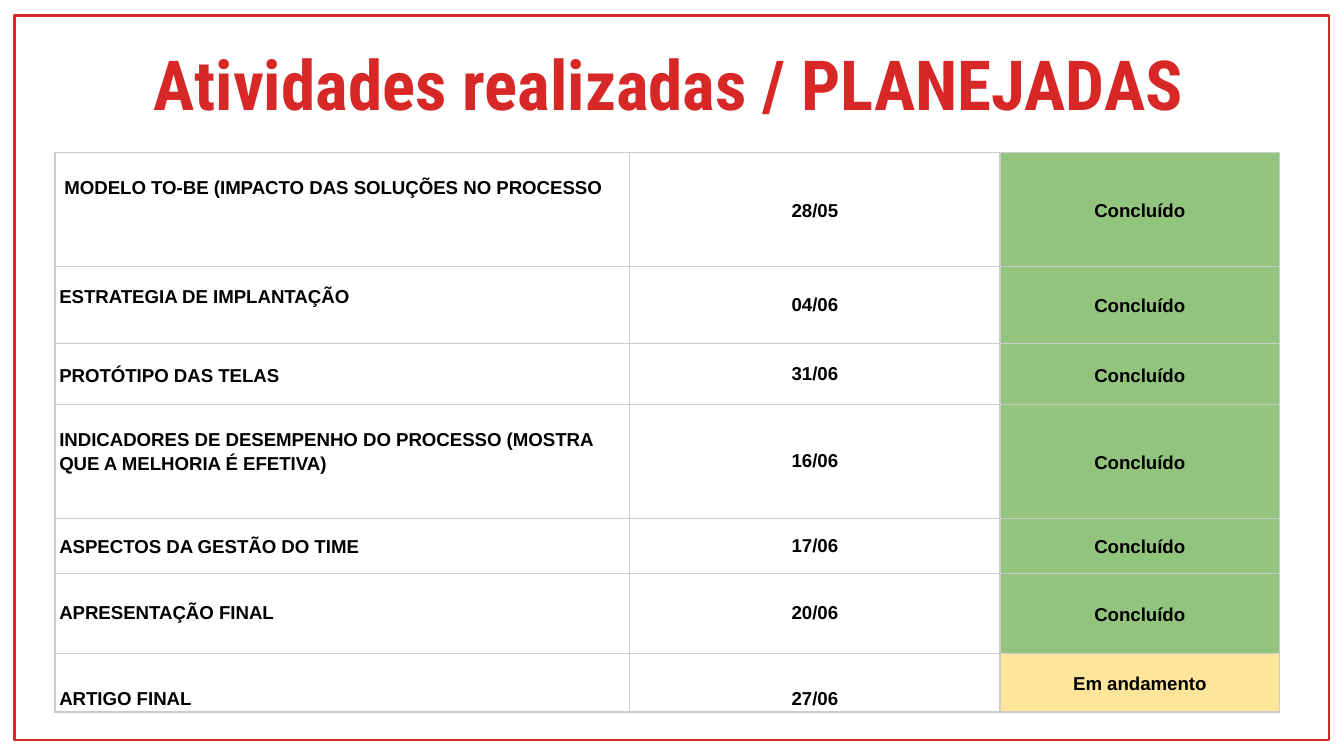
import pptx
import pptx.util
import pptx.dml.color
import pptx.enum.shapes
import pptx.enum.text
import pptx.oxml
import pptx.oxml.ns

Cm = pptx.util.Cm
Pt = pptx.util.Pt
ALIGN = pptx.enum.text.PP_ALIGN
ANCHOR = pptx.enum.text.MSO_ANCHOR

COLORS = {
    "red": "D82727",
    "black": "000000",
    "grid": "CCCCCC",
    "Concluído": "93C47D",
    "Em andamento": "FFE599",
}
COLUMN_WIDTHS = [10.86, 7, 5.28]

# activity, date, status, row height, extra space below the activity,
# line spacing of activity and date, anchor of activity and date
ACTIVITIES = [
    (" MODELO TO-BE (IMPACTO DAS SOLUÇÕES NO PROCESSO", "28/05", "Concluído",
     2.15, 0.85, (1.15, 1.15), ANCHOR.MIDDLE),
    ("ESTRATEGIA DE IMPLANTAÇÃO", "04/06", "Concluído",
     1.47, 0.36, (1.15, 1), ANCHOR.MIDDLE),
    ("PROTÓTIPO DAS TELAS", "31/06", "Concluído",
     1.15, 0, (1.15, 1), ANCHOR.MIDDLE),
    ("INDICADORES DE DESEMPENHO DO PROCESSO (MOSTRA QUE A MELHORIA É EFETIVA)",
     "16/06", "Concluído", 2.15, 0.4, (1.15, 1), ANCHOR.MIDDLE),
    ("ASPECTOS DA GESTÃO DO TIME", "17/06", "Concluído",
     1.04, 0, (1.15, 1), ANCHOR.MIDDLE),
    ("APRESENTAÇÃO FINAL", "20/06", "Concluído",
     1.51, 0, (1, 1), ANCHOR.MIDDLE),
    ("ARTIGO FINAL", "27/06", "Em andamento",
     1.11, 0, (1, 1), ANCHOR.BOTTOM),
]


def rgb(name):
    return pptx.dml.color.RGBColor.from_string(COLORS[name])


def write_text(frame, text, *, size, font="Arial", color="black",
               align=ALIGN.LEFT, spacing=1):
    paragraph = frame.paragraphs[0]
    paragraph.alignment = align
    paragraph.line_spacing = float(spacing)
    run = paragraph.add_run()
    run.text = text
    run.font.size = Pt(size)
    run.font.name = font
    run.font.bold = True
    run.font.color.rgb = rgb(color)


def add_frame(slide, left, top, width, height):
    frame = slide.shapes.add_shape(
        pptx.enum.shapes.MSO_SHAPE.RECTANGLE,
        Cm(left), Cm(top), Cm(width), Cm(height))
    frame.shadow.inherit = False
    frame.fill.background()
    frame.line.color.rgb = rgb("red")
    frame.line.width = Pt(1.5)


def add_title(slide, left, top, width, height):
    title = slide.shapes.add_textbox(Cm(left), Cm(top), Cm(width), Cm(height))
    frame = title.text_frame
    frame.word_wrap = True
    frame.vertical_anchor = ANCHOR.MIDDLE
    frame.margin_left = frame.margin_right = Cm(0.25)
    frame.margin_top = frame.margin_bottom = Cm(0.25)
    write_text(frame, "Atividades realizadas / PLANEJADAS", size=37,
               font="Roboto Condensed", color="red", align=ALIGN.CENTER)


def add_borders(cell):
    properties = cell._tc.get_or_add_tcPr()
    for side in ("lnL", "lnR", "lnT", "lnB"):
        properties.append(pptx.oxml.parse_xml(
            f'<a:{side} {pptx.oxml.ns.nsdecls("a")} w="{Pt(0.75)}"><a:solidFill>'
            f'<a:srgbClr val="{COLORS["grid"]}"/></a:solidFill></a:{side}>'))


def fill_cell(cell, text, *, fill=None, anchor=ANCHOR.MIDDLE, below=0, **text_format):
    cell.margin_left = cell.margin_right = Cm(0.08)
    cell.margin_top = Cm(0.05)
    cell.margin_bottom = Cm(0.05 + below)
    cell.vertical_anchor = anchor
    add_borders(cell)
    if fill:
        cell.fill.solid()
        cell.fill.fore_color.rgb = rgb(fill)
    else:
        cell.fill.background()
    write_text(cell.text_frame, text, size=10, **text_format)


def add_schedule(slide, left, top, width, height):
    table = slide.shapes.add_table(
        len(ACTIVITIES), len(COLUMN_WIDTHS),
        Cm(left), Cm(top), Cm(width), Cm(height)).table
    table.first_row = table.horz_banding = False

    # Scale columns and rows to the given box
    column_scale = width / sum(COLUMN_WIDTHS)
    row_scale = height / sum(activity[3] for activity in ACTIVITIES)
    for column, column_width in zip(table.columns, COLUMN_WIDTHS):
        column.width = Cm(column_width * column_scale)

    for row, activity in zip(table.rows, ACTIVITIES):
        name, date, status, row_height, below, spacings, anchor = activity
        row.height = Cm(row_height * row_scale)
        name_cell, date_cell, status_cell = row.cells
        fill_cell(name_cell, name, anchor=anchor, below=below, spacing=spacings[0])
        fill_cell(date_cell, date, anchor=anchor, align=ALIGN.CENTER,
                  spacing=spacings[1])
        fill_cell(status_cell, status, fill=status, align=ALIGN.CENTER, spacing=1.15)


def main():
    presentation = pptx.Presentation()
    presentation.slide_width = Cm(25.4)
    presentation.slide_height = Cm(14.29)
    slide = presentation.slides.add_slide(presentation.slide_layouts[6])

    add_frame(slide, 0.28, 0.3, 24.84, 13.69)
    add_title(slide, 1.8, 0.56, 21.67, 2.03)
    add_schedule(slide, 1.04, 2.88, 23.14, 10.58)

    presentation.save("out.pptx")


if __name__ == "__main__":
    main()
